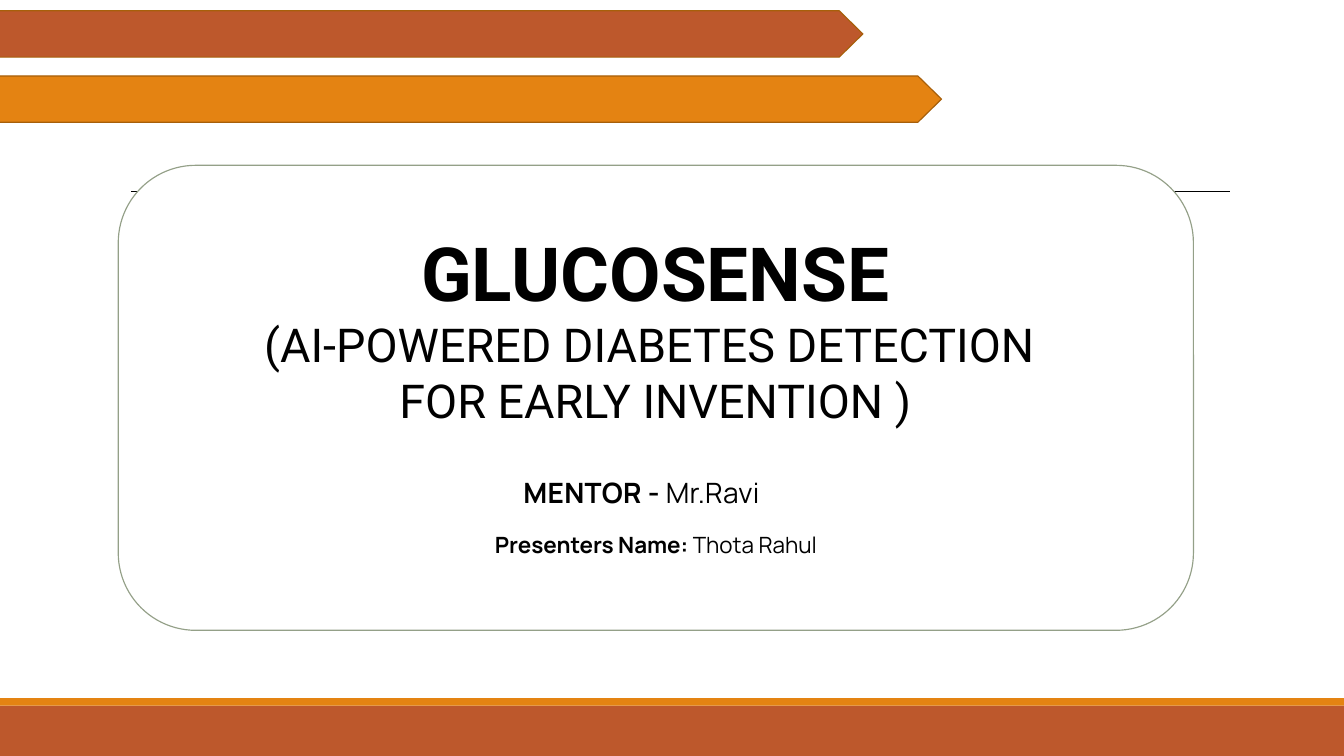
import collections

import pptx
import pptx.dml.color
import pptx.enum.shapes
import pptx.enum.text
import pptx.oxml
import pptx.util
import lxml.etree

RUST = pptx.dml.color.RGBColor(0xBD, 0x58, 0x2C)
ORANGE = pptx.dml.color.RGBColor(0xE4, 0x83, 0x12)
BROWN = pptx.dml.color.RGBColor(0xA7, 0x5F, 0x0A)
SAGE = pptx.dml.color.RGBColor(0x94, 0xA0, 0x88)
WHITE = pptx.dml.color.RGBColor(0xFF, 0xFF, 0xFF)
BLACK = pptx.dml.color.RGBColor(0, 0, 0)

COLUMNS, ROWS = 20, 11.25
UNIT = pptx.util.Inches(1)
SHAPES = pptx.enum.shapes.MSO_SHAPE
CENTER = pptx.enum.text.PP_ALIGN.CENTER
LEFT = pptx.enum.text.PP_ALIGN.LEFT

Box = collections.namedtuple("Box", "left top width height")
Span = collections.namedtuple("Span", "text size font bold spacing", defaults=(0,))


def emu(box):
    """Turn a box of grid columns and rows into slide lengths."""
    return [round(length * UNIT) for length in box]


def inside(box, left, top, width, height):
    """Give a box placed relative to the corner of another box."""
    return Box(box.left + left, box.top + top, width, height)


def add_block(page, kind, box, fill, line=None, adjust=None):
    """Add a flat filled shape with an optional thin outline."""
    block = page.shapes.add_shape(kind, *emu(box))
    block.shadow.inherit = False
    block.fill.solid()
    block.fill.fore_color.rgb = fill
    if line is None:
        block.line.fill.background()
    else:
        block.line.color.rgb = line
        block.line.width = pptx.util.Pt(1.25)
    if adjust is not None:
        block.adjustments[0] = adjust


def add_text(page, box, paragraphs, align):
    """Add a text box from pairs of line spacing and spans."""
    frame = page.shapes.add_textbox(*emu(box)).text_frame
    frame.word_wrap = True
    frame.margin_left = frame.margin_right = 0
    frame.margin_top = frame.margin_bottom = 0
    for index, (leading, spans) in enumerate(paragraphs):
        para = frame.add_paragraph() if index else frame.paragraphs[0]
        para.alignment = align
        para.line_spacing = pptx.util.Pt(leading)
        for span in spans:
            run = para.add_run()
            run.text = span.text
            run.font.size = pptx.util.Pt(span.size)
            run.font.name = span.font
            run.font.bold = span.bold
            run.font.color.rgb = BLACK
            if span.spacing:
                run.font._element.set("spc", str(round(span.spacing * 100)))


def add_banners(page, box):
    """Stack the two arrow banners, each stepping right from the one above."""
    for index, fill in enumerate((RUST, ORANGE)):
        banner = inside(box, 1.17 * index, 0.97 * index, box.width, box.height)
        add_block(page, SHAPES.PENTAGON, banner, fill, BROWN, 0.51)


def add_footer(page, box):
    """Fill the footer with a wide band under a narrow stripe."""
    stripe = 0.11
    band = inside(box, 0, stripe, box.width, box.height - stripe)
    add_block(page, SHAPES.RECTANGLE, band, RUST)
    add_block(page, SHAPES.RECTANGLE, box._replace(height=stripe), ORANGE)


def add_rule(page, box):
    """Draw the thin horizontal rule along the top of its box."""
    left, top, width, height = emu(box)
    rule = page.shapes.add_connector(
        pptx.enum.shapes.MSO_CONNECTOR.STRAIGHT, left, top, left + width, top + height)
    rule.line.color.rgb = BLACK
    rule.line.width = pptx.util.Pt(0.75)
    lxml.etree.SubElement(rule._element.spPr, pptx.oxml.ns.qn("a:effectLst"))


def add_card(page, box):
    """Draw the rounded card with its title, mentor and presenter."""
    add_block(page, SHAPES.ROUNDED_RECTANGLE, box, WHITE, SAGE, 1 / 6)
    add_text(page, inside(box, -0.28, 0.91, 16.55, 2.99), [
        (96, [Span("GLUCOSENSE", 80, "Roboto", True)]),
        (60, [Span("(AI-POWERED DIABETES DETECTION ", 50, "Roboto", False)]),
        (60, [Span("FOR EARLY INVENTION )", 50, "Roboto", False)]),
    ], CENTER)
    add_text(page, inside(box, 6.03, 4.61, 3.95, 0.53), [
        (36, [Span("MENTOR -", 30, "Manrope", True, 0.3),
              Span(" Mr.Ravi", 30, "Manrope", False, 0.3)]),
    ], LEFT)
    add_text(page, inside(box, 5.41, 5.37, 5.18, 0.46), [
        (33.6, [Span("Presenters Name: ", 24, "Manrope", True),
                Span("Thota Rahul", 24, "Manrope", False)]),
    ], CENTER)


def main():
    """Build the title slide and save the deck."""
    deck = pptx.Presentation()
    deck.slide_width = round(COLUMNS * UNIT)
    deck.slide_height = round(ROWS * UNIT)
    page = deck.slides.add_slide(deck.slide_layouts[6])
    add_footer(page, Box(0, 10.39, COLUMNS, ROWS - 10.39))
    add_rule(page, Box(1.95, 2.85, 16.36, 0))
    add_card(page, Box(1.76, 2.46, 16, 6.92))
    add_banners(page, Box(-2.08, 0.16, 14.92, 0.69))
    deck.save("out.pptx")


if __name__ == "__main__":
    main()
